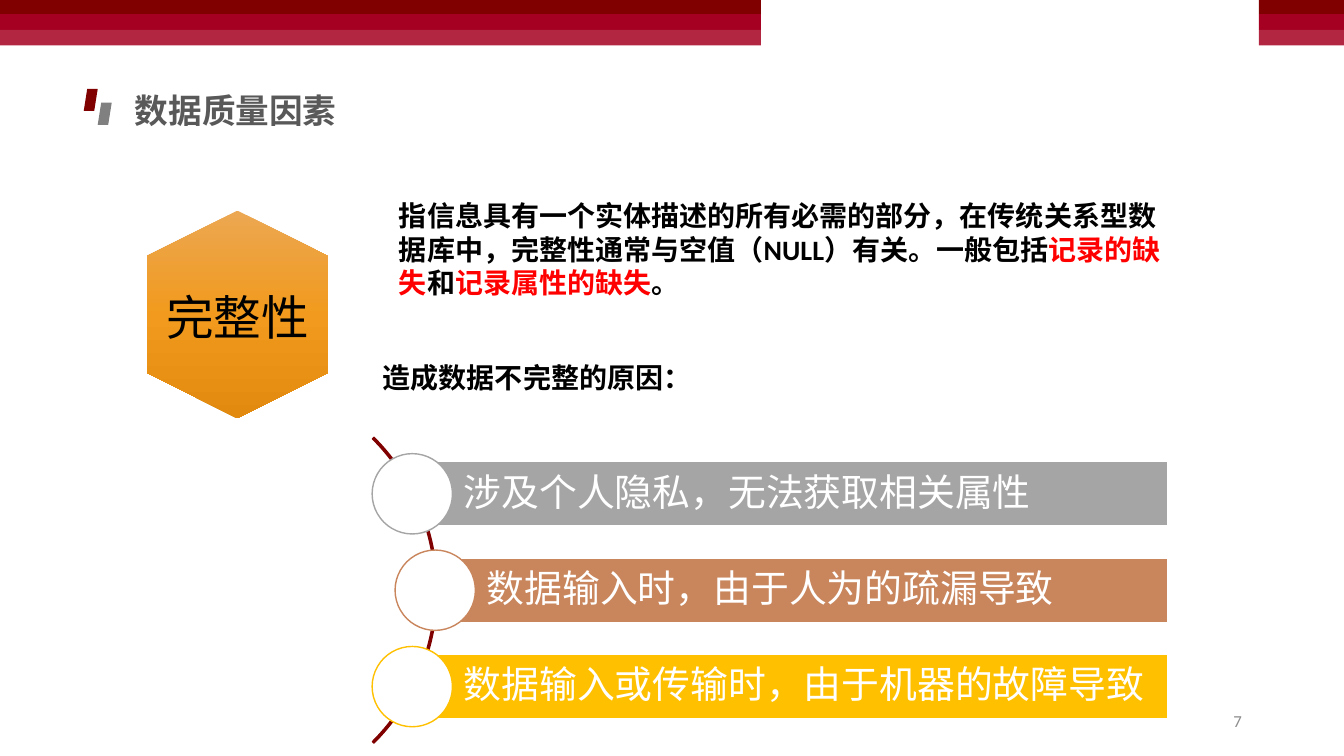
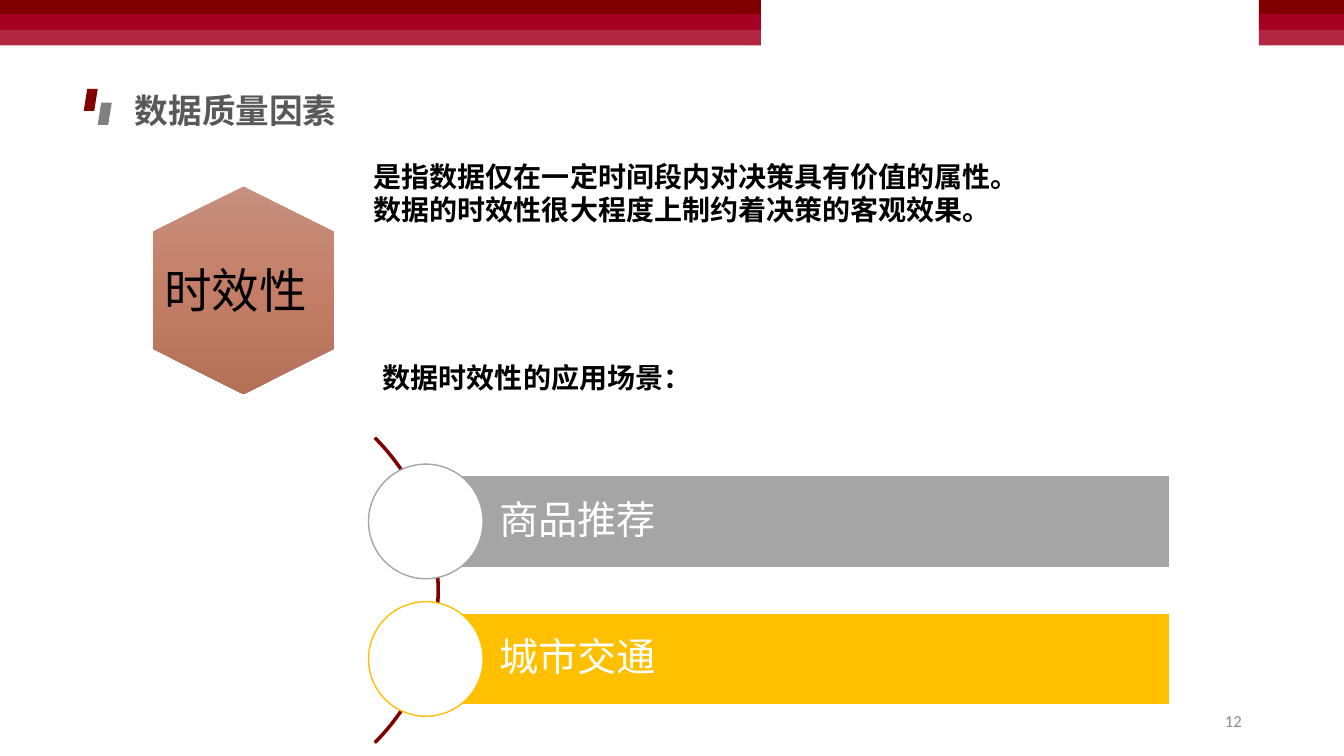
import math
from dataclasses import dataclass

import lxml.etree
import pptx
import pptx.dml.color
import pptx.enum.shapes
import pptx.enum.text
import pptx.oxml
import pptx.oxml.ns
import pptx.util

Pt = pptx.util.Pt
Kind = pptx.enum.shapes.MSO_SHAPE
Align = pptx.enum.text.PP_ALIGN
Anchor = pptx.enum.text.MSO_ANCHOR

# Shared look
LATIN, ASIAN = "Calibri", "Noto Sans CJK SC"
MAROON, CRIMSON, ROSE = "800000", "A50021", "B22642"
GRAY, BROWN, GOLD = "A5A5A5", "C9855C", "FFC000"
BLACK, WHITE, RED = "000000", "FFFFFF", "FF0000"
BANDS = [(0, 10.1, MAROON), (10.1, 11.2, CRIMSON), (21.3, 11.2, ROSE)]
SPANS = [(0, 543.6), (899.3, 60.7)]
MARKS = [(59.8, 63.4, MAROON), (69.8, 73.4, "808080")]
ARC, ARC_TOP, ORBIT = 308.8, 267.2, 152.9


@dataclass
class Box:
    x: float
    y: float
    w: float
    h: float

    def emu(self) -> list:
        return [Pt(v) for v in (self.x, self.y, self.w, self.h)]


@dataclass
class Run:
    text: str
    color: str = BLACK


@dataclass
class Badge:
    text: str
    hexa: Box
    label: Box
    align: Align
    stops: tuple


@dataclass
class Bar:
    text: str
    color: str


@dataclass
class Chain:
    left: float
    right: float
    height: float
    size: float
    bars: list


@dataclass
class Page:
    badge: Badge
    note: Box
    runs: list
    head: str
    chain: Chain
    number: str


def rgb(code: str) -> pptx.dml.color.RGBColor:
    return pptx.dml.color.RGBColor.from_string(code)


def shape(slide, kind: Kind, box: Box, fill: str, line: str = ""):
    item = slide.shapes.add_shape(kind, *box.emu())
    item.shadow.inherit = False
    item.fill.solid()
    item.fill.fore_color.rgb = rgb(fill)
    if line:
        item.line.color.rgb = rgb(line)
        item.line.width = Pt(1)
    else:
        item.line.fill.background()
    return item


def write(item, runs: list, size: float, bold: bool = False, font: str = LATIN,
          align: Align = Align.LEFT, anchor: Anchor = Anchor.TOP,
          pads: tuple = (7.2, 3.6, 7.2, 3.6), space: float = 1.0) -> None:
    frame = item.text_frame
    frame.word_wrap = True
    frame.vertical_anchor = anchor
    (frame.margin_left, frame.margin_top,
     frame.margin_right, frame.margin_bottom) = [Pt(v) for v in pads]
    para = frame.paragraphs[0]
    para.alignment = align
    para.line_spacing = space
    for part in runs:
        run = para.add_run()
        run.text = part.text
        run.font.name = font
        run.font.size = Pt(size)
        run.font.bold = bold
        run.font.color.rgb = rgb(part.color)
        asian = lxml.etree.SubElement(run.font._element, pptx.oxml.ns.qn("a:ea"))
        asian.set("typeface", ASIAN)


def label(slide, box: Box, runs: list, size: float, **style) -> None:
    write(slide.shapes.add_textbox(*box.emu()), runs, size, **style)


def frame(slide, number: str) -> None:
    # Bands, title marks, title and page number
    for x, wide in SPANS:
        for y, high, color in BANDS:
            shape(slide, Kind.RECTANGLE, Box(x, y, wide, high), color)
    for x, y, color in MARKS:
        shape(slide, Kind.PARALLELOGRAM, Box(x, y, 10, 15.8), color)
    label(slide, Box(89.3, 60.5, 296.6, 36), [Run("数据质量因素", "595959")], 24,
          bold=True, font=ASIAN)
    label(slide, Box(678.2, 500.4, 216, 28.8), [Run(number, "8C8C8C")], 12,
          align=Align.RIGHT, anchor=Anchor.MIDDLE)


def shade(item, stops: tuple) -> None:
    # Vertical gradient with evenly spaced stops
    step = 100000 // (len(stops) - 1)
    marks = "".join(f'<a:gs pos="{i * step}"><a:srgbClr val="{code}"/></a:gs>'
                    for i, code in enumerate(stops))
    space = pptx.oxml.ns.nsdecls("a")
    fill = pptx.oxml.parse_xml(
        f'<a:gradFill {space} rotWithShape="1"><a:gsLst>{marks}</a:gsLst>'
        '<a:lin ang="5400000" scaled="0"/></a:gradFill>')
    item.fill.solid()
    old = item._element.spPr.find(pptx.oxml.ns.qn("a:solidFill"))
    old.getparent().replace(old, fill)


def badge(slide, spec: Badge) -> None:
    box = spec.hexa
    mid, end = box.x + box.w / 2, box.x + box.w
    high, low = box.y + 0.218 * box.h, box.y + 0.782 * box.h
    pen = slide.shapes.build_freeform(Pt(mid), Pt(box.y))
    pen.add_line_segments([(Pt(x), Pt(y)) for x, y in (
        (end, high), (end, low), (mid, box.y + box.h), (box.x, low), (box.x, high))])
    item = pen.convert_to_shape()
    item.shadow.inherit = False
    item.line.fill.background()
    shade(item, spec.stops)
    label(slide, spec.label, [Run(spec.text)], 34, align=spec.align,
          anchor=Anchor.MIDDLE, pads=(10, 10, 10, 10), space=0.9)


def chain(slide, spec: Chain) -> None:
    # Arc with circles along it, each leading a bar
    arc = shape(slide, Kind.BLOCK_ARC, Box(spec.left, ARC_TOP, ARC, ARC), MAROON, MAROON)
    for i, value in enumerate((189, 27, 0.005)):
        arc.adjustments[i] = value
    high, ring, pad = spec.height, 1.25 * spec.height, 0.09 * spec.height
    for i, bar in enumerate(spec.bars):
        drop = (i - (len(spec.bars) - 1) / 2) * 1.5 * high
        x = spec.left + ARC / 2 + math.sqrt(ORBIT ** 2 - drop ** 2)
        y = ARC_TOP + ARC / 2 + drop
        item = shape(slide, Kind.RECTANGLE,
                     Box(x, y - high / 2, spec.right - x, high), bar.color, WHITE)
        write(item, [Run(bar.text, WHITE)], spec.size, anchor=Anchor.MIDDLE,
              pads=(0.8 * high, pad, pad, pad), space=0.9)
        shape(slide, Kind.OVAL, Box(x - ring / 2, y - ring / 2, ring, ring),
              WHITE, bar.color)


PAGES = [
    Page(
        Badge("完整性", Box(105.1, 150.5, 129, 148.3), Box(105.1, 205.9, 129, 46),
              Align.CENTER, ("ECA752", "F19A1D", "E18A0F")),
        Box(277.9, 138.2, 560.9, 80),
        [Run("指信息具有一个实体描述的所有必需的部分，在传统关系型数据库中，"
             "完整性通常与空值（NULL）有关。一般包括"),
         Run("记录的缺失", RED), Run("和"), Run("记录属性的缺失", RED), Run("。")],
        "造成数据不完整的原因：",
        Chain(3.6, 833.8, 45.9, 27, [
            Bar("涉及个人隐私，无法获取相关属性", GRAY),
            Bar("数据输入时，由于人为的疏漏导致", BROWN),
            Bar("数据输入或传输时，由于机器的故障导致", GOLD)]),
        "7"),
    Page(
        Badge("时效性", Box(109.4, 133.2, 129, 148.3), Box(107.3, 181.4, 129, 56.2),
              Align.LEFT, ("C7907E", "C47E68", "B37057")),
        Box(259.9, 110.2, 480.2, 55.4),
        [Run("是指数据仅在一定时间段内对决策具有价值的属性。"
             "数据的时效性很大程度上制约着决策的客观效果。")],
        "数据时效性的应用场景：",
        Chain(5, 835.2, 65.5, 28, [Bar("商品推荐", GRAY), Bar("城市交通", GOLD)]),
        "12"),
]


def main() -> None:
    deck = pptx.Presentation()
    deck.slide_width, deck.slide_height = Pt(960), Pt(540)
    for page in PAGES:
        slide = deck.slides.add_slide(deck.slide_layouts[6])
        frame(slide, page.number)
        badge(slide, page.badge)
        label(slide, page.note, page.runs, 20, bold=True)
        chain(slide, page.chain)
        label(slide, Box(266.4, 254.2, 260, 31.7), [Run(page.head)], 20, bold=True)
    deck.save("out.pptx")


if __name__ == "__main__":
    main()
